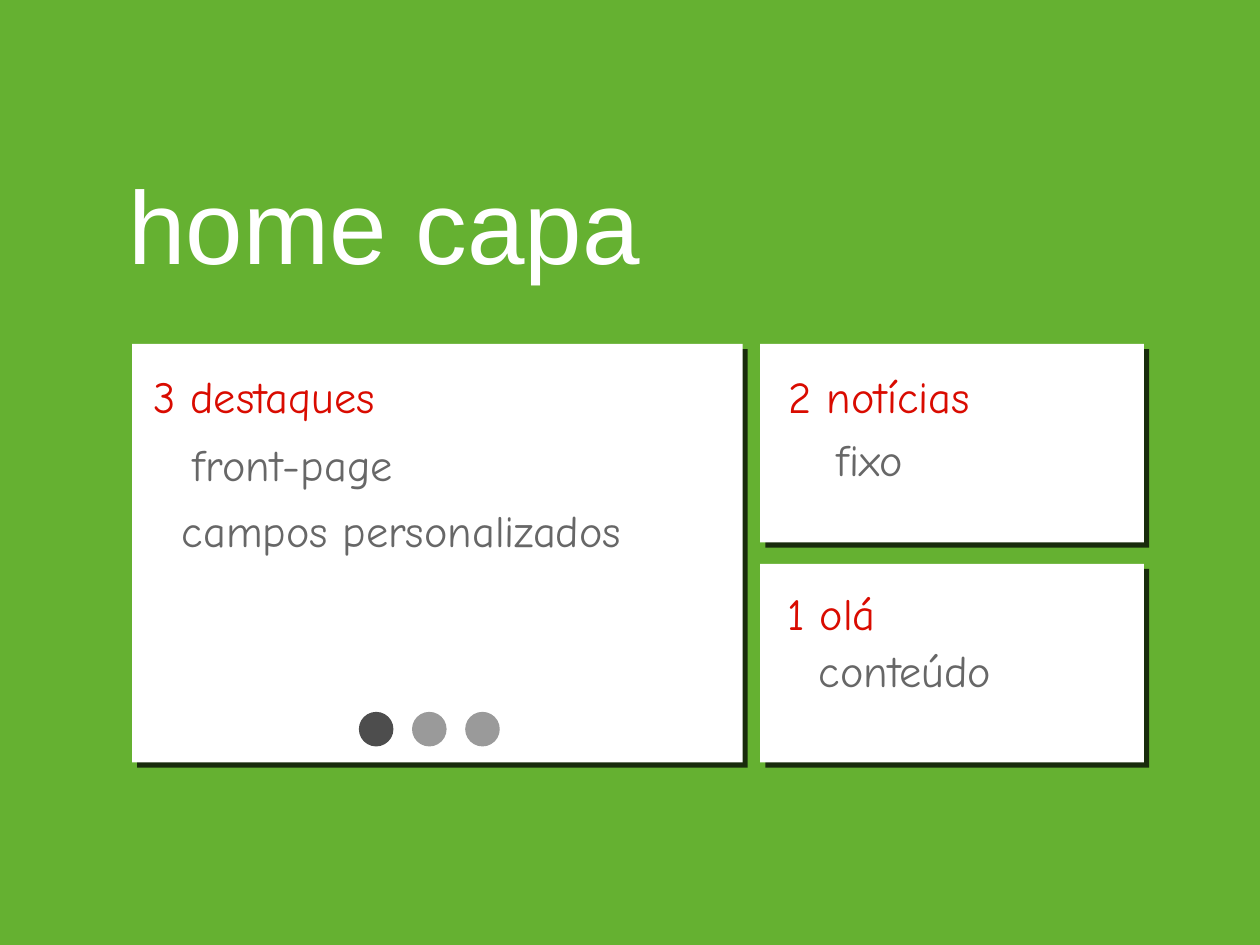
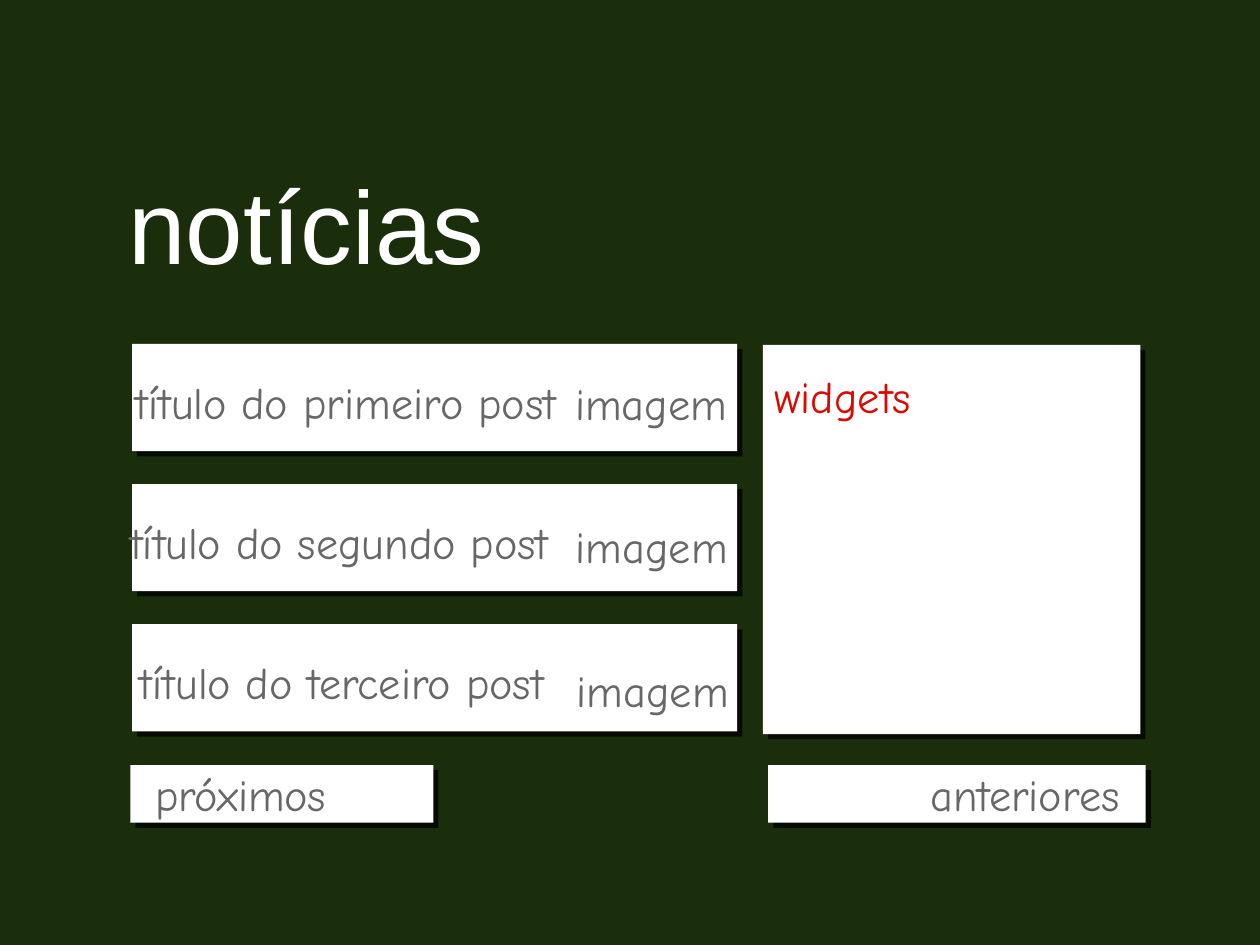
"""Build two wireframe slides: the home cover and the news page."""
from lxml import etree
from pptx import Presentation
from pptx import util as u
from pptx.dml.color import RGBColor
from pptx.enum import shapes, text
from pptx.oxml.ns import qn

PX = 9144
WIDTH, HEIGHT = 1422, 1066
GREEN = RGBColor(0x65, 0xB1, 0x31)
FOREST = RGBColor(0x1B, 0x2E, 0x0B)
WHITE = RGBColor(0xFF, 0xFF, 0xFF)
RED = RGBColor(0xD9, 0x0B, 0x00)
GREY = RGBColor(0x67, 0x67, 0x67)
DARK = RGBColor(0x4D, 0x4D, 0x4D)
PALE = RGBColor(0x9A, 0x9A, 0x9A)
LEFT, MID = text.PP_ALIGN.LEFT, text.PP_ALIGN.CENTER
TITLE = (139, 179, 1144, 149)
ROW = 60

DOTS = [DARK, PALE, PALE]
DOT, STEP = 39, 60
HOME_CARDS = [(149, 388, 689, 472), (858, 388, 433, 224), (858, 636, 433, 224)]
HOME_TEXT = [
    ("3 destaques", 156, 416, 284, RED),
    ("front-page", 205, 493, 251, GREY),
    ("campos personalizados", 177, 568, 552, GREY),
    ("2 notícias", 881, 416, 223, RED),
    ("fixo", 938, 487, 87, GREY),
    ("1 olá", 882, 661, 113, RED),
    ("conteúdo", 910, 725, 223, GREY),
]

POSTS = [
    ("título do primeiro post", 153),
    ("título do segundo post", 147),
    ("título do terceiro post", 158),
]
POST_STEP, IMAGE_STEP = 158, 162
NEWS_CARDS = [(147, 863, 342, 65), (867, 863, 426, 65), (861, 389, 426, 439)]
NEWS_TEXT = [
    ("próximos", 175, 865, 222, GREY),
    ("anteriores", 1050, 865, 242, GREY),
    ("widgets", 874, 416, 184, RED),
]


def place(box):
    return [u.Emu(n * PX) for n in box]


def style(frame, words, font, size, color, align, anchor, inset):
    frame.word_wrap = True
    frame.auto_size = text.MSO_AUTO_SIZE.NONE
    frame.vertical_anchor = anchor
    frame.margin_left = frame.margin_right = u.Emu(inset * PX)
    frame.margin_top = frame.margin_bottom = u.Emu(inset * PX)
    frame.text = words
    line = frame.paragraphs[0]
    line.alignment = align
    face = line.runs[0].font
    face.name, face.size = font, u.Pt(size)
    face.color.rgb = color


def start(deck, words, color):
    slide = deck.slides.add_slide(deck.slide_layouts[5])
    slide.background.fill.solid()
    slide.background.fill.fore_color.rgb = color
    title = slide.shapes.title
    title.left, title.top, title.width, title.height = place(TITLE)
    style(title.text_frame, words, "Arial", 84, WHITE, LEFT,
          text.MSO_ANCHOR.BOTTOM, 6)
    return slide


def draw(slide, kind, box, color):
    shape = slide.shapes.add_shape(kind, *place(box))
    shape.shadow.inherit = False
    shape.fill.solid()
    shape.fill.fore_color.rgb = color
    shape.line.fill.background()
    return shape


def card(slide, box):
    shape = draw(slide, shapes.MSO_SHAPE.RECTANGLE, box, WHITE)
    effects = shape.element.spPr.find(qn("a:effectLst"))
    shade = etree.SubElement(effects, qn("a:outerShdw"), blurRad="0",
                             dist=str(u.Pt(6)), dir=str(45 * 60000),
                             algn="tl", rotWithShape="0")
    black = etree.SubElement(shade, qn("a:srgbClr"), val="000000")
    etree.SubElement(black, qn("a:alpha"), val="75000")


def label(slide, words, left, top, width, color, align):
    box = slide.shapes.add_textbox(*place((left, top, width, ROW)))
    style(box.text_frame, words, "Comic Neue", 36, color, align,
          text.MSO_ANCHOR.MIDDLE, 0)


def home(deck):
    slide = start(deck, "home capa", GREEN)
    for box in HOME_CARDS:
        card(slide, box)
    for i, color in enumerate(DOTS):
        draw(slide, shapes.MSO_SHAPE.OVAL,
             (405 + i * STEP, 803, DOT, DOT), color)
    for item in HOME_TEXT:
        label(slide, *item, MID)


def news(deck):
    slide = start(deck, "notícias", FOREST)
    for i, (words, left) in enumerate(POSTS):
        card(slide, (149, 388 + i * POST_STEP, 683, 121))
        label(slide, words, left, 423 + i * POST_STEP, 532, GREY, LEFT)
        label(slide, "imagem", 649 + i, 424 + i * IMAGE_STEP, 193, GREY, LEFT)
    for box in NEWS_CARDS:
        card(slide, box)
    for item in NEWS_TEXT:
        label(slide, *item, LEFT)


def main():
    deck = Presentation()
    deck.slide_width, deck.slide_height = place((WIDTH, HEIGHT))
    home(deck)
    news(deck)
    deck.save("out.pptx")


if __name__ == "__main__":
    main()
